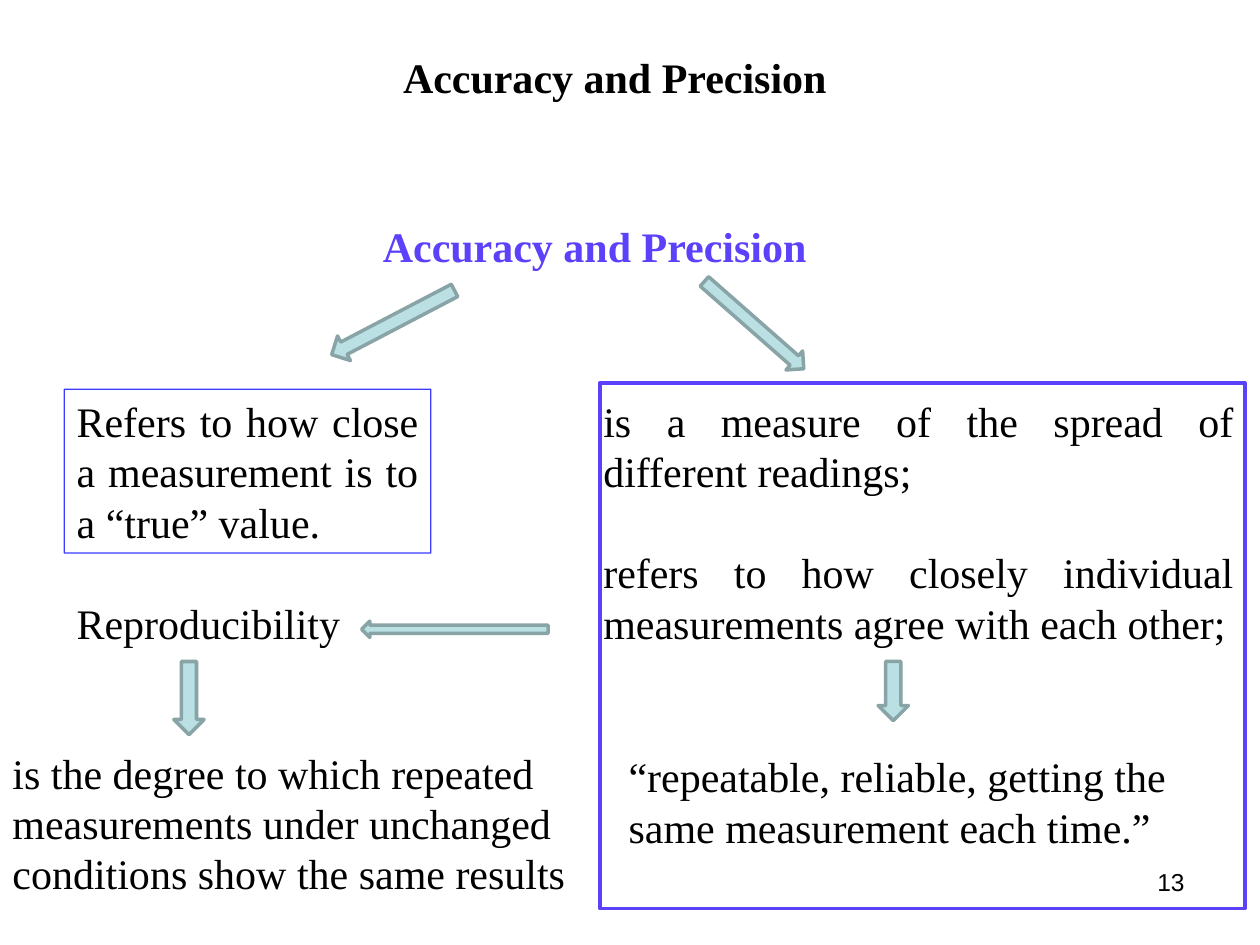
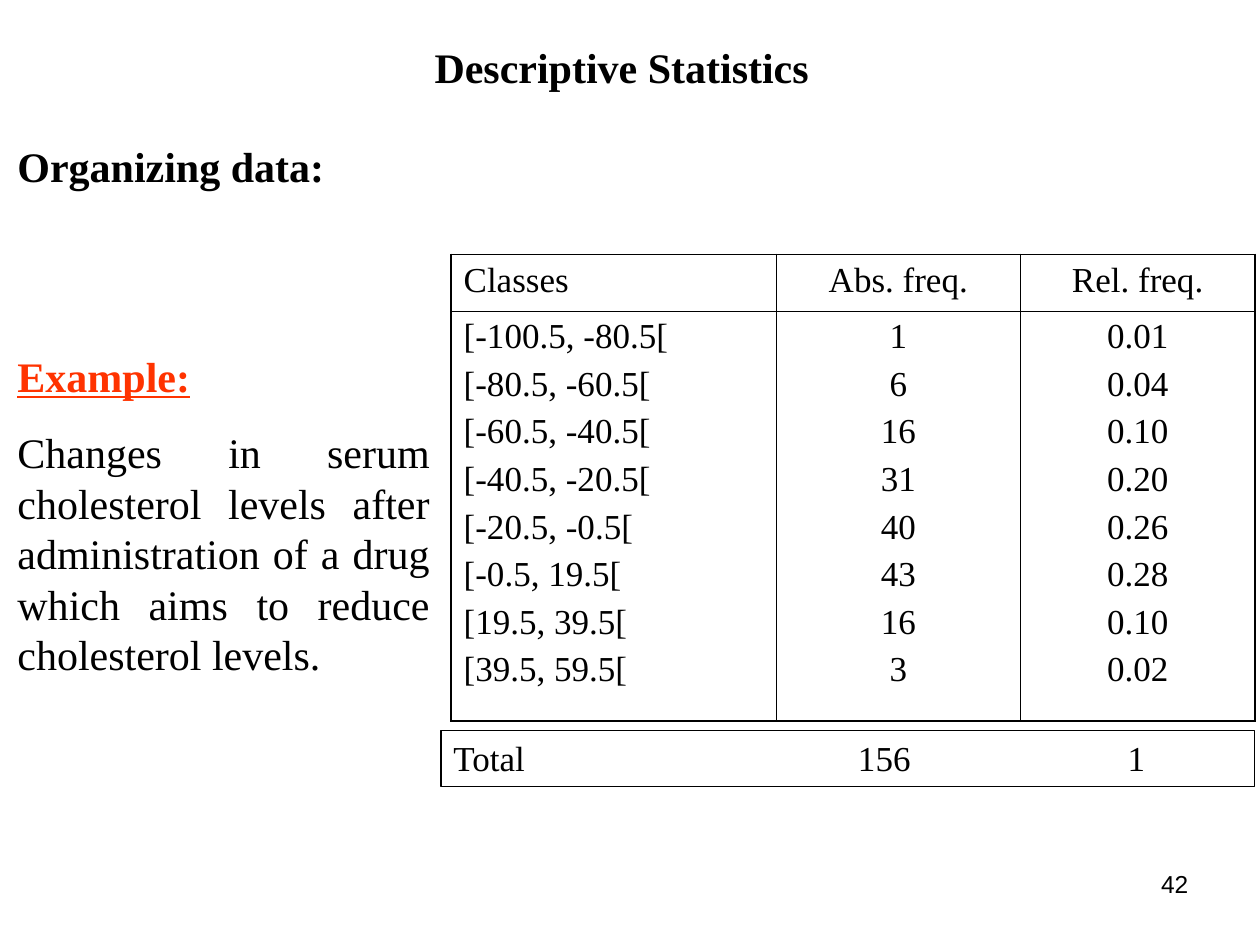
from dataclasses import dataclass

from lxml import etree
from pptx import Presentation
from pptx.dml.color import RGBColor
from pptx.enum.shapes import MSO_SHAPE
from pptx.enum.text import MSO_ANCHOR, PP_ALIGN
from pptx.oxml.ns import qn
from pptx.util import Inches, Pt

RECT, DOWN, LEFT = MSO_SHAPE.RECTANGLE, MSO_SHAPE.DOWN_ARROW, MSO_SHAPE.LEFT_ARROW
START, MID, END, FULL = PP_ALIGN.LEFT, PP_ALIGN.CENTER, PP_ALIGN.RIGHT, PP_ALIGN.JUSTIFY
TOP = MSO_ANCHOR.TOP
COLS, ROWS = 100, 75


@dataclass(frozen=True)
class Theme:
    """Colours, fonts, type sizes and line widths."""
    ink: str = "000000"
    violet: str = "5B41F9"
    blue: str = "0000FF"
    red: str = "FF3300"
    aqua: str = "BBE0E3"
    edge: str = "89A4A7"
    serif: str = "Times New Roman"
    sans: str = "Arial"
    body: int = 24
    cell: int = 20
    page: int = 14
    thin: float = 0.75
    bold: float = 2
    outer: float = 1.08
    inner: float = 0.45
    gap: float = 15
    tight: float = 5
    line: float = 28.8


class Deck:
    """Holds the style and the current slide, placed on a 100 by 75 grid."""

    def __init__(self, theme):
        self.theme = theme
        self.prs = Presentation()
        self.prs.slide_width, self.prs.slide_height = Inches(10), Inches(7.5)
        self.slide = None

    def place(self, left, top, wide, high):
        """Turn grid columns and rows into lengths."""
        col, row = self.prs.slide_width / COLS, self.prs.slide_height / ROWS
        return [round(n * unit) for n, unit in zip((left, top, wide, high), (col, row) * 2)]

    def start(self, title, spot, page, corner):
        """Add a slide with its title and page number."""
        self.slide = self.prs.slides.add_slide(self.prs.slide_layouts[6])
        self.text(corner + (23.3, 5.2), [page], align=END, size=self.theme.page,
                  face=self.theme.sans)
        self.text(spot, [title], bold=True)

    def style(self, para, color=None, size=None, face=None, bold=False, line=False):
        """Set the font of a paragraph."""
        font = para.font
        font.name, font.size = face or self.theme.serif, Pt(size or self.theme.body)
        font.bold, font.underline = bold, line
        font.color.rgb = RGBColor.from_string(color or self.theme.ink)

    def typeset(self, frame, lines, align=START, gap=0, tabs=(), **font):
        """Fill a text frame with paragraphs."""
        frame.word_wrap = True
        frame.vertical_anchor = TOP
        for i, words in enumerate(lines):
            para = frame.add_paragraph() if i else frame.paragraphs[0]
            para.text, para.alignment = words, align
            if i and gap:
                para.space_before = Pt(gap)
            if tabs:
                stops = etree.SubElement(para._p.get_or_add_pPr(), qn("a:tabLst"))
                for stop in tabs:
                    etree.SubElement(stops, qn("a:tab"), pos=str(Inches(stop)), algn="ctr")
            self.style(para, **font)
        return frame

    def text(self, spot, lines, **look):
        """Add a text box."""
        box = self.slide.shapes.add_textbox(*self.place(*spot))
        return self.typeset(box.text_frame, lines, **look)

    def shape(self, kind, spot, line, width, fill=None, turn=0):
        """Add a preset shape."""
        item = self.slide.shapes.add_shape(kind, *self.place(*spot))
        item.shadow.inherit = False
        item.rotation = turn
        if fill:
            item.fill.solid()
            item.fill.fore_color.rgb = RGBColor.from_string(fill)
        else:
            item.fill.background()
        item.line.color.rgb = RGBColor.from_string(line)
        item.line.width = Pt(width)
        return item

    def arrow(self, kind, spot, turn=0):
        """Add a block arrow."""
        self.shape(kind, spot, self.theme.edge, self.theme.bold, self.theme.aqua, turn)

    def frame(self, spot, lines, line, alpha=100, **look):
        """Add an outlined box with text."""
        box = self.shape(RECT, spot, line, self.theme.thin)
        if alpha < 100:
            tint = box.line._ln.find(".//" + qn("a:srgbClr"))
            etree.SubElement(tint, qn("a:alpha"), val=str(alpha * 1000))
        self.typeset(box.text_frame, lines, **look)

    def border(self, cell, sides):
        """Draw the four sides of a cell."""
        props = cell._tc.get_or_add_tcPr()
        for i, (side, width) in enumerate(sides.items()):
            line = etree.Element(qn("a:ln" + side), w=str(Pt(width)))
            fill = etree.SubElement(line, qn("a:solidFill"))
            etree.SubElement(fill, qn("a:srgbClr"), val=self.theme.ink)
            props.insert(i, line)

    def table(self, spot, wides, highs, rows):
        """Add a table whose cells are lists of lines."""
        last, foot = len(wides) - 1, len(highs) - 1
        grid = self.slide.shapes.add_table(foot + 1, last + 1, *self.place(*spot)).table
        grid.first_row = grid.horz_banding = False
        for i, wide in enumerate(wides):
            grid.columns[i].width = self.place(0, 0, wide, 0)[2]
        for r, row in enumerate(rows):
            grid.rows[r].height = self.place(0, 0, 0, highs[r])[3]
            for c, lines in enumerate(row):
                cell = grid.cell(r, c)
                cell.fill.background()
                edges = {"L": c == 0, "R": c == last, "T": r == 0, "B": r == foot}
                self.border(cell, {side: self.theme.outer if rim else self.theme.inner
                                   for side, rim in edges.items()})
                self.typeset(cell.text_frame, lines, align=MID if c else START,
                             gap=self.theme.tight, size=self.theme.cell)


def terms(deck):
    """Build the accuracy and precision slide."""
    theme = deck.theme
    deck.start("Accuracy and Precision", (31, 3.6, 43.2, 5), "13", (71.7, 68.3))
    deck.text((29.4, 17, 43.2, 5), ["Accuracy and Precision"], color=theme.violet, bold=True)
    deck.frame((5.1, 30.9, 29.1, 13),
               ["Refers to how close a measurement is to a “true” value."],
               theme.blue, alpha=76, align=FULL)
    deck.shape(RECT, (47.6, 30.4, 51.2, 41.7), theme.violet, theme.bold)
    deck.text((46.9, 30.9, 52, 21),
              ["is a measure of the spread of different readings;",
               "refers to how closely individual measurements agree with each other;"],
              align=FULL, gap=theme.line)
    deck.text((48.9, 59.1, 49.2, 9),
              ["“repeatable, reliable, getting the same measurement each time.”"])
    deck.text((5.1, 46.9, 37.8, 5), ["Reproducibility"])
    deck.text((0, 58.8, 46.9, 13),
              ["is the degree to which repeated measurements under unchanged "
               "conditions show the same results"])
    deck.arrow(DOWN, (69.7, 52.5, 2.4, 4.7))
    deck.arrow(DOWN, (13.8, 52.5, 2.4, 5.8))
    deck.arrow(LEFT, (28.7, 49.3, 14.8, 1.3))
    deck.arrow(LEFT, (25.7, 24.5, 11, 2.2), 332.4)
    deck.arrow(LEFT, (54.6, 24.8, 10.5, 2), 221.3)


def stats(deck):
    """Build the descriptive statistics slide."""
    theme = deck.theme
    deck.start("Descriptive Statistics", (33.5, 2.8, 36.2, 5), "42", (72, 68.5))
    deck.text((0.4, 10.7, 39.4, 5), ["Organizing data:"], bold=True)
    notes = deck.text((0.4, 27.3, 34.7, 27.1),
                      ["Example:", "Changes in serum cholesterol levels after administration "
                       "of a drug which aims to reduce cholesterol levels."],
                      align=FULL, gap=theme.gap)
    deck.style(notes.paragraphs[0], color=theme.red, bold=True, line=True)
    marks = ["-100.5", "-80.5", "-60.5", "-40.5", "-20.5", "-0.5", "19.5", "39.5", "59.5"]
    spans = [f"[{low}, {high}[" for low, high in zip(marks, marks[1:])]
    counts = [1, 6, 16, 31, 40, 43, 16, 3]
    shares = ["0.01", "0.04", "0.10", "0.20", "0.26", "0.28", "0.10", "0.02"]
    deck.table((35.8, 20.2, 63.8, 37), (25.8, 19.4, 18.6), (4.5, 32.5),
               [[["Classes"], ["Abs. freq."], ["Rel. freq."]],
                [spans, [str(n) for n in counts], shares]])
    deck.frame((35, 58, 64.6, 4.4), [f"Total\t{sum(counts)}\t1"], theme.ink,
               size=theme.cell, tabs=(3.42, 5.42))


def main():
    """Build and save the deck."""
    deck = Deck(Theme())
    terms(deck)
    stats(deck)
    deck.prs.save("out.pptx")


if __name__ == "__main__":
    main()
